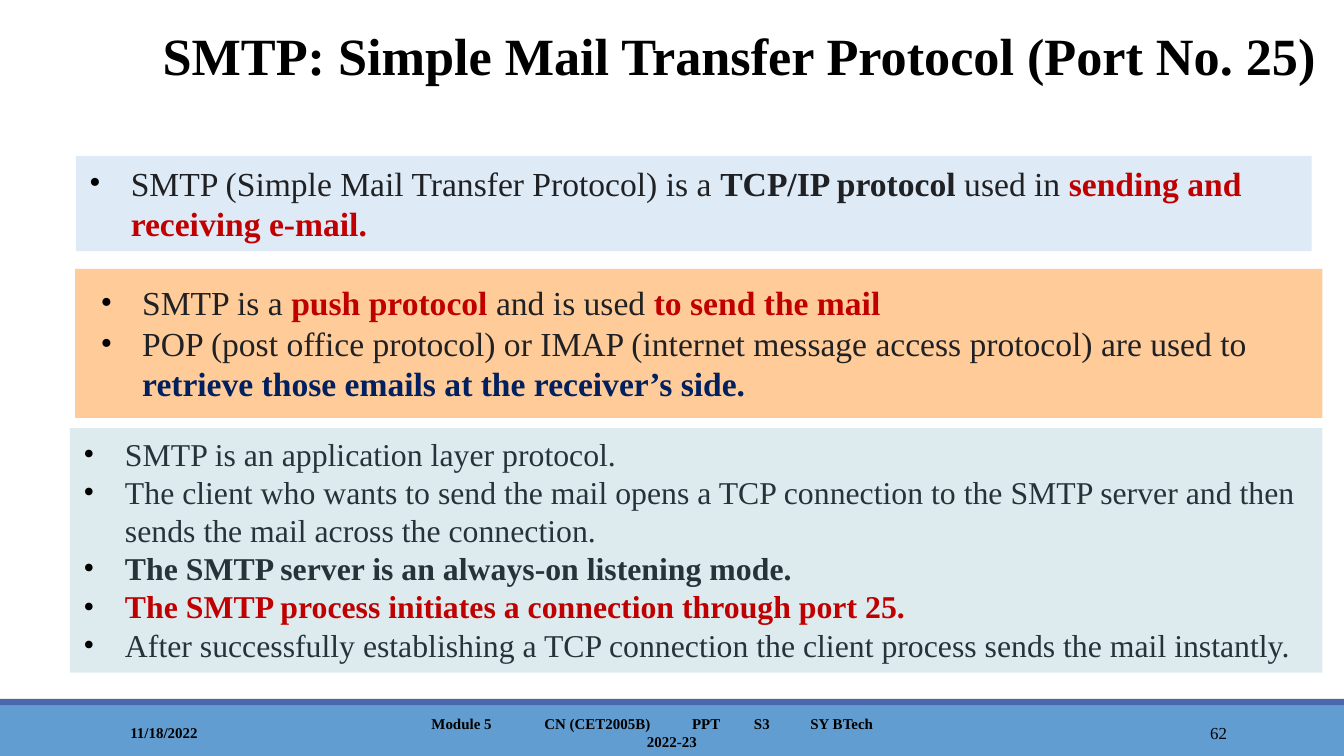
import dataclasses
import typing

import pptx
import pptx.dml.color
import pptx.enum.shapes
import pptx.enum.text
import pptx.oxml
import pptx.oxml.ns
import pptx.util

ALIGN = pptx.enum.text.PP_ALIGN
ANCHOR = pptx.enum.text.MSO_ANCHOR
FONT = "Times New Roman"
BLACK, INK, SLATE, RED, NAVY = "000000", "202124", "273239", "C00000", "002060"
HANGING = 0.31  # inches between a bullet and its text

# A 16:9 slide on a grid of 100 columns by 56.25 rows
COLUMNS, ROWS = 100, 56.25
presentation = pptx.Presentation()
presentation.slide_width = pptx.util.Inches(10)
presentation.slide_height = presentation.slide_width * 9 // 16


class Area(typing.NamedTuple):
    column: float
    row: float
    columns: float
    rows: float


class Run(typing.NamedTuple):
    text: str
    color: str = INK
    bold: bool = False


@dataclasses.dataclass
class Panel:
    area: Area
    fill: str
    items: list[list[Run]]
    size: float = 18
    inset: float = 0.05
    indent: float = HANGING


def rgb(value: str) -> pptx.dml.color.RGBColor:
    return pptx.dml.color.RGBColor.from_string(value)


def lengths(area: Area) -> tuple[int, int, int, int]:
    column = presentation.slide_width / COLUMNS
    row = presentation.slide_height / ROWS
    return (round(area.column * column), round(area.row * row),
            round(area.columns * column), round(area.rows * row))


def place(shape, area: Area) -> None:
    shape.left, shape.top, shape.width, shape.height = lengths(area)


def add_bar(slide, area: Area, fill: str) -> None:
    shape = slide.shapes.add_shape(pptx.enum.shapes.MSO_SHAPE.RECTANGLE, *lengths(area))
    shape.shadow.inherit = False
    shape.fill.solid()
    shape.fill.fore_color.rgb = rgb(fill)
    shape.line.fill.background()


def format_frame(shape, anchor, side: float = 0.07, edge: float = 0.04) -> None:
    frame = shape.text_frame
    frame.word_wrap = True
    frame.auto_size = pptx.enum.text.MSO_AUTO_SIZE.NONE
    frame.vertical_anchor = anchor
    frame.margin_left = frame.margin_right = pptx.util.Inches(side)
    frame.margin_top = frame.margin_bottom = pptx.util.Inches(edge)


def add_properties(paragraph, *elements: str) -> None:
    properties = paragraph._p.get_or_add_pPr()
    namespace = pptx.oxml.ns.nsdecls("a")
    for element in elements:
        properties.append(pptx.oxml.parse_xml(element.replace(" ", f" {namespace} ", 1)))


def add_bullet(paragraph, indent: float) -> None:
    properties = paragraph._p.get_or_add_pPr()
    properties.set("marL", str(pptx.util.Inches(indent)))
    properties.set("indent", str(pptx.util.Inches(-HANGING)))
    add_properties(paragraph,
                   f'<a:buClr ><a:srgbClr val="{BLACK}"/></a:buClr>',
                   f'<a:buFont typeface="{FONT}"/>',
                   '<a:buChar char="•"/>')


def write(paragraph, text: str, *, size: float, color: str = BLACK, bold: bool = False,
          align=ALIGN.LEFT, spacing: float = 1.0) -> None:
    paragraph.alignment = align
    paragraph.line_spacing = spacing
    paragraph.space_before = pptx.util.Pt(0)
    run = paragraph.add_run()
    run.text = text
    run.font.name = FONT
    run.font.size = pptx.util.Pt(size)
    run.font.bold = bold
    run.font.color.rgb = rgb(color)


def fill_panel(shape, panel: Panel) -> None:
    place(shape, panel.area)
    shape.fill.solid()
    shape.fill.fore_color.rgb = rgb(panel.fill)
    format_frame(shape, ANCHOR.TOP, side=0.1, edge=panel.inset)
    frame = shape.text_frame
    for index, item in enumerate(panel.items):
        paragraph = frame.add_paragraph() if index else frame.paragraphs[0]
        add_bullet(paragraph, panel.indent)
        for run in item:
            write(paragraph, run.text, size=panel.size, color=run.color, bold=run.bold)


def add_label(slide, area: Area):
    shape = slide.shapes.add_textbox(*lengths(area))
    format_frame(shape, ANCHOR.MIDDLE)
    return shape.text_frame


PANELS = [
    Panel(Area(5.65, 11.6, 91.95, 7.1), "DEEAF5", [
        [Run("SMTP (Simple Mail Transfer Protocol) is a "), Run("TCP/IP protocol", bold=True),
         Run(" used in "), Run("sending and receiving e-mail.", RED, True)],
    ]),
    Panel(Area(5.6, 20, 92.8, 11.1), "FFCC99", [
        [Run("SMTP is a "), Run("push protocol ", RED, True),
         Run("and is used "), Run("to send the mail", RED, True)],
        [Run("POP (post office protocol) or IMAP (internet message access protocol) are used to "),
         Run("retrieve those emails at the receiver’s side.", NAVY, True)],
    ], inset=0.1, indent=0.4),
]
DELIVERY = Panel(Area(5.2, 31.85, 93.2, 18.2), "DDEBEE", [
    [Run("SMTP is an application layer protocol.", SLATE)],
    [Run("The client who wants to send the mail opens a TCP connection to the SMTP server "
         "and then sends the mail across the connection.", SLATE)],
    [Run("The SMTP server is an always-on listening mode.", SLATE, True)],
    [Run("The SMTP process initiates a connection through port 25.", RED, True)],
    [Run("After successfully establishing a TCP connection the client process sends "
         "the mail instantly.", SLATE)],
], size=17)
# Inches from the footer's text edge to each part of the course line
COURSE = {"Module 5": 0.12, "CN (CET2005B)": 0.96, "PPT": 2.06, "S3": 2.52, "SY BTech": 2.94}


def main() -> None:
    slide = presentation.slides.add_slide(presentation.slide_layouts[1])

    # Title
    title = slide.shapes.title
    place(title, Area(11.4, 0.5, 88.6, 6.3))
    format_frame(title, ANCHOR.BOTTOM)
    write(title.text_frame.paragraphs[0], "SMTP: Simple Mail Transfer Protocol (Port No. 25)",
          size=28, bold=True, spacing=0.85)

    # Coloured lists
    for panel in PANELS:
        fill_panel(slide.shapes.add_textbox(*lengths(panel.area)), panel)
    fill_panel(slide.placeholders[1], DELIVERY)

    # Footer bars
    add_bar(slide, Area(0, 52.5, COLUMNS, 3.75), "629DD1")
    add_bar(slide, Area(0, 52, COLUMNS, 0.5), "4A66AC")

    # Date and slide number
    date = add_label(slide, Area(9, 53, 20.3, 3))
    write(date.paragraphs[0], "11/18/2022", size=8, bold=True)
    number = add_label(slide, Area(81.2, 53, 10.8, 3))
    write(number.paragraphs[0], "62", size=9, align=ALIGN.RIGHT)

    # Course line, spread over tab stops, with the year below
    course = add_label(slide, Area(30.2, 53, 39.6, 3))
    details = course.paragraphs[0]
    stops = "".join(f'<a:tab pos="{pptx.util.Inches(stop)}" algn="l"/>'
                    for stop in COURSE.values())
    add_properties(details, f"<a:tabLst >{stops}</a:tabLst>")
    write(details, "".join(f"\t{part}" for part in COURSE), size=8, bold=True)
    write(course.add_paragraph(), "2022-23", size=8, bold=True, align=ALIGN.CENTER)

    presentation.save("out.pptx")


if __name__ == "__main__":
    main()
